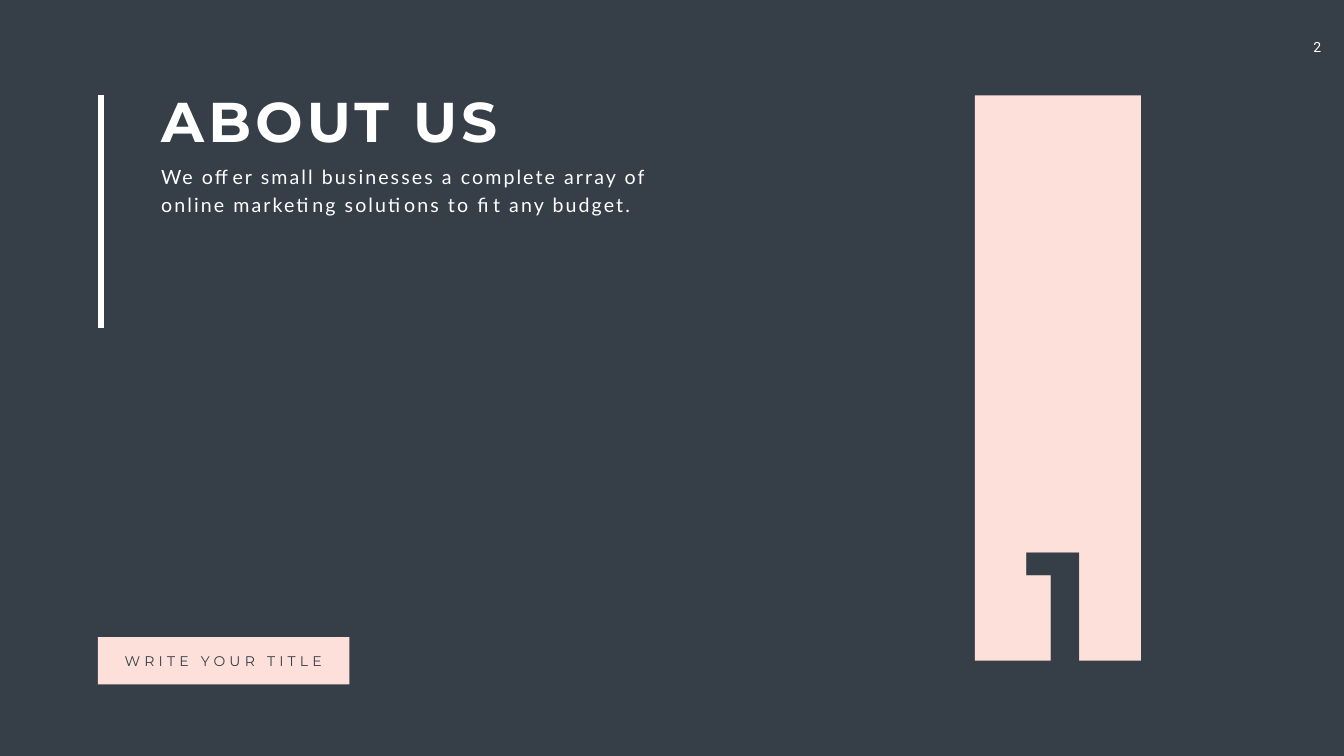
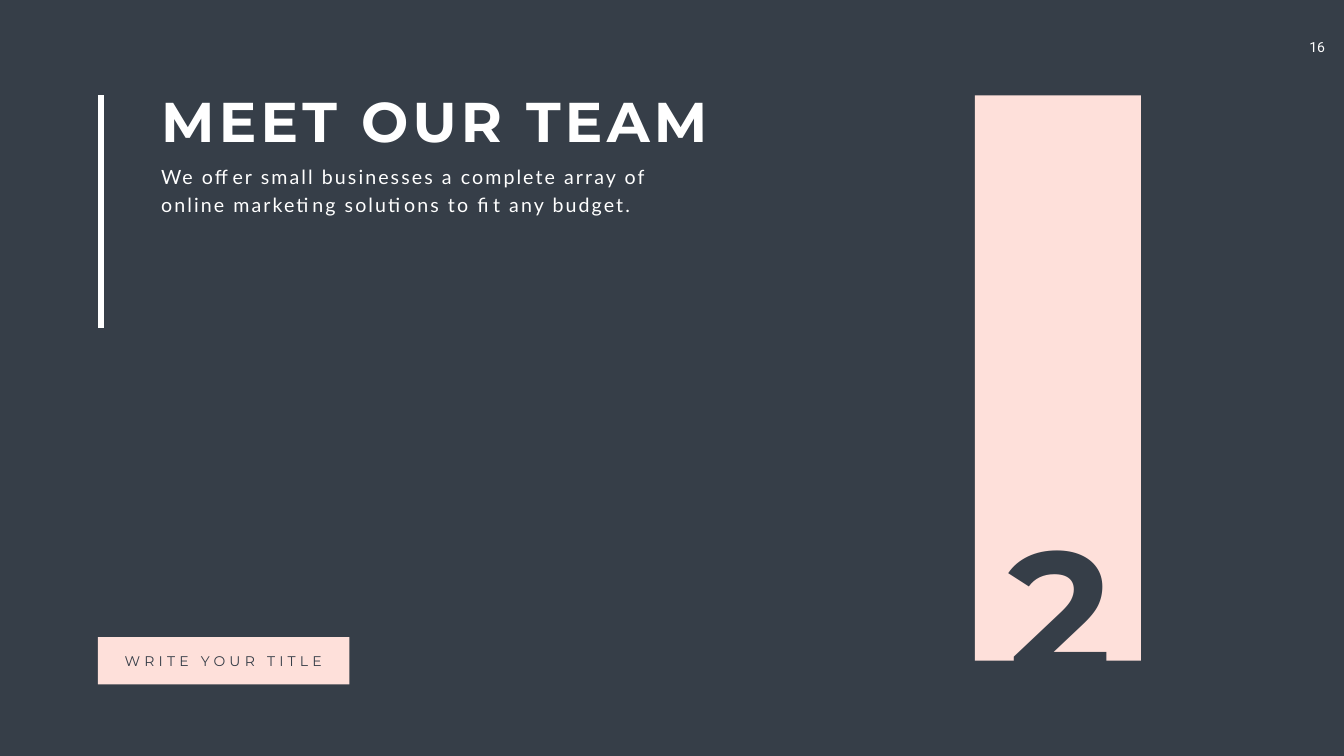
import pptx
import pptx.dml.color
import pptx.enum.shapes
import pptx.enum.text
import pptx.util
import lxml.etree

Pt = pptx.util.Pt
ALIGN = pptx.enum.text.PP_ALIGN

NAVY = "363E48"
BLUSH = "FEE0DA"
WHITE = "FFFFFF"
HEADING_FONT = "Montserrat"
BODY_FONT = "Lato"
NUMBER_FONT = "Roboto"

TOP = 136.1
PITCH = "We offer small businesses a complete array of online marketing solutions to fit any budget."
BUTTON_LABEL = "WRITE YOUR TITLE"

# page number, heading, heading width, section numeral
SECTIONS = [
    ("2", "ABOUT US", 632.9, "1"),
    ("16", "MEET OUR TEAM", 866.2, "2"),
]


def color(hex_string):
    return pptx.dml.color.RGBColor.from_string(hex_string)


def write(frame, text, size, font, ink, bold=False, tracking=0,
          align=ALIGN.LEFT, leading=None):
    paragraph = frame.paragraphs[0]
    paragraph.alignment = align
    if leading:
        paragraph.line_spacing = Pt(leading)
    run = paragraph.add_run()
    run.text = text
    run.font.size = Pt(size)
    run.font.name = font
    run.font.bold = bold
    run.font.color.rgb = color(ink)
    if tracking:
        run.font._element.set("spc", str(tracking * 100))


class Deck:
    def __init__(self, width, height):
        self.presentation = pptx.Presentation()
        self.presentation.slide_width = Pt(width)
        self.presentation.slide_height = Pt(height)
        self.slide = None

    def new_slide(self):
        self.slide = self.presentation.slides.add_slide(self.presentation.slide_layouts[6])
        self.slide.background.fill.solid()
        self.slide.background.fill.fore_color.rgb = color(NAVY)

    def group(self):
        return self.slide.shapes.add_group_shape().shapes

    def text(self, shapes, box, content, wrap=True, insets=(7.2, 3.6, 7.2, 3.6), **style):
        frame = shapes.add_textbox(*map(Pt, box)).text_frame
        frame.word_wrap = wrap
        frame.auto_size = pptx.enum.text.MSO_AUTO_SIZE.SHAPE_TO_FIT_TEXT
        (frame.margin_left, frame.margin_top,
         frame.margin_right, frame.margin_bottom) = map(Pt, insets)
        write(frame, content, **style)

    def block(self, shapes, box, fill):
        rectangle = shapes.add_shape(pptx.enum.shapes.MSO_SHAPE.RECTANGLE, *map(Pt, box))
        rectangle.shadow.inherit = False
        rectangle.fill.solid()
        rectangle.fill.fore_color.rgb = color(fill)
        rectangle.line.fill.background()

    def rule(self, x, top, bottom, ink, weight):
        line = self.slide.shapes.add_connector(
            pptx.enum.shapes.MSO_CONNECTOR.STRAIGHT, Pt(x), Pt(top), Pt(x), Pt(bottom))
        line.line.color.rgb = color(ink)
        line.line.width = Pt(weight)
        lxml.etree.SubElement(line._element.spPr, pptx.oxml.ns.qn("a:effectLst"))

    def section(self, page, heading, heading_width, numeral):
        self.new_slide()

        # Page number
        self.text(self.slide.shapes, (1849.7, 48.2, 69, 38.9), page,
                  insets=(14.4, 7.2, 20.3, 7.2), size=20, font=NUMBER_FONT,
                  ink=WHITE, align=ALIGN.CENTER)

        # Heading and pitch
        intro = self.group()
        self.text(intro, (223.2, 120.2, heading_width, 104.4), heading,
                  size=80, font=HEADING_FONT, ink=WHITE, bold=True, tracking=6)
        self.text(intro, (223.2, 224.6, 736.6, 85.7), PITCH,
                  size=28, font=BODY_FONT, ink=WHITE, tracking=3, leading=40.8)

        # Tall band with the section numeral
        band = self.group()
        self.block(band, (1392.5, TOP, 236.9, 807.8), BLUSH)
        self.text(band, (1414.8, 711.4, 197.3, 310.3), numeral, size=250,
                  font=HEADING_FONT, ink=NAVY, bold=True, tracking=6, align=ALIGN.CENTER)

        # Vertical rule beside the heading
        self.rule(144, TOP, 468.7, WHITE, 8)

        # Button
        button = self.group()
        self.block(button, (139.7, 910.1, 359.3, 67.7), BLUSH)
        self.text(button, (166.3, 928.8, 305.3, 31.7), BUTTON_LABEL, wrap=False,
                  size=20, font=HEADING_FONT, ink=NAVY, tracking=6, align=ALIGN.CENTER)


def main():
    deck = Deck(1919.52, 1080)
    for section in SECTIONS:
        deck.section(*section)
    deck.presentation.save("out.pptx")


if __name__ == "__main__":
    main()
